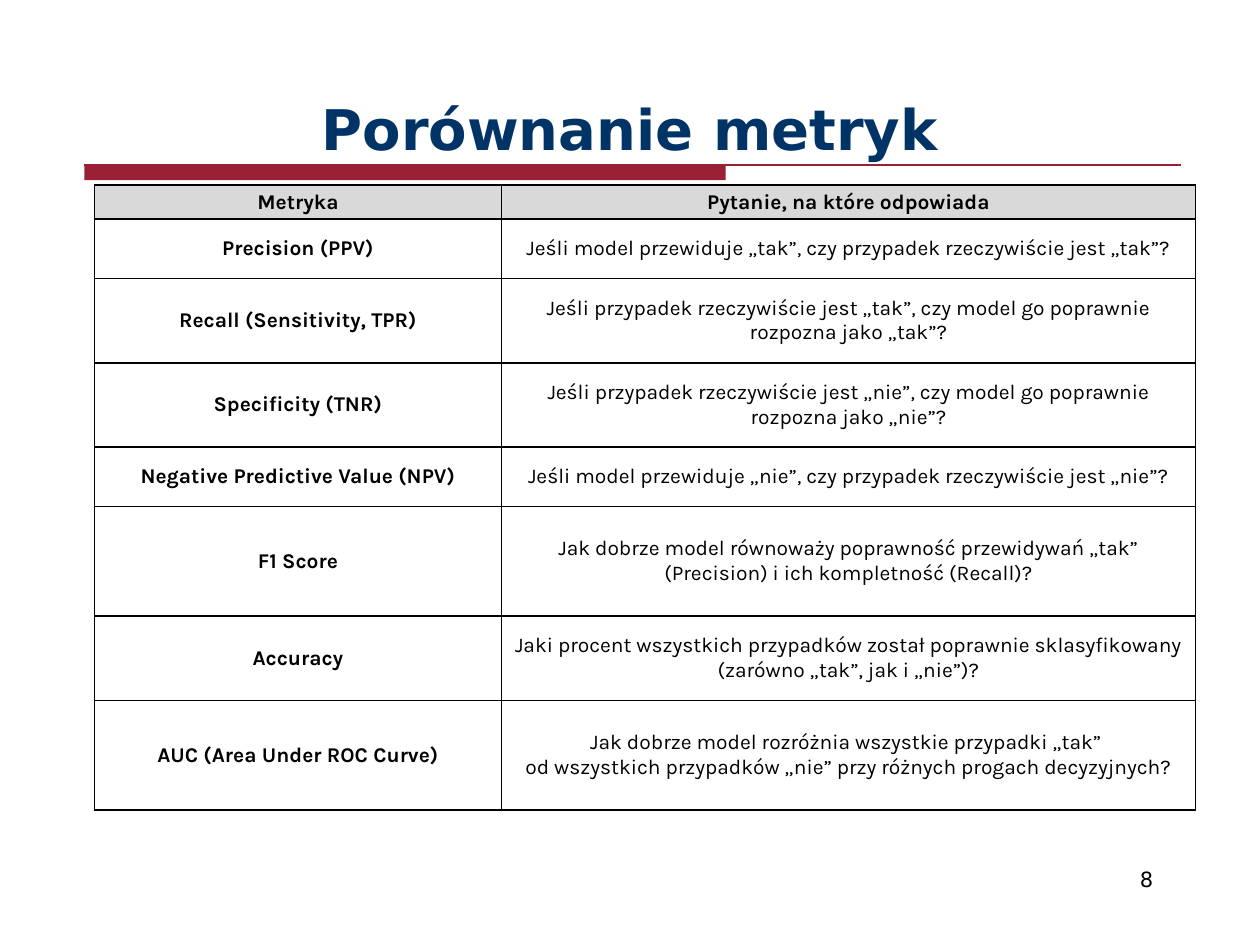
from lxml import etree
from pptx import Presentation
from pptx.dml.color import RGBColor
from pptx.enum.shapes import MSO_CONNECTOR, MSO_SHAPE
from pptx.enum.text import MSO_ANCHOR, PP_ALIGN
from pptx.oxml.ns import qn
from pptx.util import Inches, Pt

LINE, RECT = MSO_CONNECTOR.STRAIGHT, MSO_SHAPE.RECTANGLE
MID, LOW, TOP = MSO_ANCHOR.MIDDLE, MSO_ANCHOR.BOTTOM, MSO_ANCHOR.TOP
CENTER, RIGHT = PP_ALIGN.CENTER, PP_ALIGN.RIGHT

# Content
TITLE = "Porównanie metryk"
PAGE = "8"
HEAD = ("Metryka", "Pytanie, na które odpowiada")
ROWS = [  # metric, question, row height
    ("Precision (PPV)",
     "Jeśli model przewiduje „tak”, czy przypadek rzeczywiście jest „tak”?", 0.47),
    ("Recall (Sensitivity, TPR)",
     "Jeśli przypadek rzeczywiście jest „tak”, czy model go poprawnie "
     "rozpozna jako „tak”?", 0.67),
    ("Specificity (TNR)",
     "Jeśli przypadek rzeczywiście jest „nie”, czy model go poprawnie "
     "rozpozna jako „nie”?", 0.67),
    ("Negative Predictive Value (NPV)",
     "Jeśli model przewiduje „nie”, czy przypadek rzeczywiście jest „nie”?", 0.47),
    ("F1 Score",
     "Jak dobrze model równoważy poprawność przewidywań „tak” "
     "(Precision) i ich kompletność (Recall)?", 0.87),
    ("Accuracy",
     "Jaki procent wszystkich przypadków został poprawnie sklasyfikowany "
     "(zarówno „tak”, jak i „nie”)?", 0.67),
    ("AUC (Area Under ROC Curve)",
     "Jak dobrze model rozróżnia wszystkie przypadki „tak” \n"
     "od wszystkich przypadków „nie” przy różnych progach decyzyjnych?", 0.87),
]

THEME = {
    "ink": "000000", "title": "003366", "accent": "992035", "head": "D9D9D9",
    "face": "DejaVu Sans", "body": "Karla", "big": 32, "small": 12,
}

# Layout in inches
WIDE, HIGH = 10, 7.5
LEFT, COLS = 0.75, (3.23, 5.51)
TABLE_TOP, HEAD_HIGH = 1.47, 0.27
BAR = (0.67, 1.31, 5.09, 0.12)
RULES = [(0.67, 9.37, 1.31, 0.75), (0.75, 9.41, 6.43, 0.25)]  # from, to, y, weight


def rgb(name):
    return RGBColor.from_string(THEME[name])


def write(frame, text, face="face", size="small", color="ink", bold=False,
          align=CENTER):
    para = frame.paragraphs[0]
    para.text, para.alignment = text, align
    for run in para.runs:
        font = run.font
        font.name, font.size, font.bold = THEME[face], Pt(THEME[size]), bold
        font.color.rgb = rgb(color)


def add_text(slide, box, text, anchor, **style):
    frame = slide.shapes.add_textbox(*map(Inches, box)).text_frame
    frame.word_wrap, frame.vertical_anchor = True, anchor
    write(frame, text, **style)


def add_rule(slide, start, end, y, weight):
    rule = slide.shapes.add_connector(LINE, *map(Inches, (start, y, end, y)))
    rule.line.color.rgb, rule.line.width = rgb("accent"), Pt(weight)
    etree.SubElement(rule.element.spPr, qn("a:effectLst"))


def add_edges(cell):
    props = cell._tc.get_or_add_tcPr()
    for spot, side in enumerate(("lnL", "lnR", "lnT", "lnB")):
        edge = etree.Element(qn("a:" + side), w=str(Pt(1)))
        fill = etree.SubElement(edge, qn("a:solidFill"))
        etree.SubElement(fill, qn("a:srgbClr"), val=THEME["ink"])
        props.insert(spot, edge)


def add_table(slide):
    highs = [HEAD_HIGH] + [row[2] for row in ROWS]
    box = (LEFT, TABLE_TOP, sum(COLS), sum(highs))
    table = slide.shapes.add_table(
        len(highs), len(COLS), *map(Inches, box)).table
    for col, wide in zip(table.columns, COLS):
        col.width = Inches(wide)
    for r, (row, high) in enumerate(zip([HEAD] + ROWS, highs)):
        table.rows[r].height = Inches(high)
        for c, text in enumerate(row[:2]):
            cell = table.cell(r, c)
            cell.margin_left = cell.margin_right = Inches(0.06)
            cell.margin_top = cell.margin_bottom = Inches(0.03)
            cell.vertical_anchor = MID
            if r == 0:
                cell.fill.solid()
                cell.fill.fore_color.rgb = rgb("head")
            else:
                cell.fill.background()
            add_edges(cell)
            write(cell.text_frame, text, face="body", bold=r == 0 or c == 0)


def main():
    deck = Presentation()
    deck.slide_width, deck.slide_height = Inches(WIDE), Inches(HIGH)
    slide = deck.slides.add_slide(deck.slide_layouts[6])

    # Accent bar and rules
    bar = slide.shapes.add_shape(RECT, *map(Inches, BAR))
    bar.shadow.inherit = False
    bar.fill.solid()
    bar.fill.fore_color.rgb = rgb("accent")
    bar.line.fill.background()
    for rule in RULES:
        add_rule(slide, *rule)

    # Page number, title and table
    add_text(slide, (7.17, 6.83, 2.08, 0.5), PAGE, TOP, align=RIGHT)
    add_text(slide, (0, 0.17, WIDE, 1.16), TITLE, LOW,
             size="big", color="title", bold=True)
    add_table(slide)
    deck.save("out.pptx")


if __name__ == "__main__":
    main()
